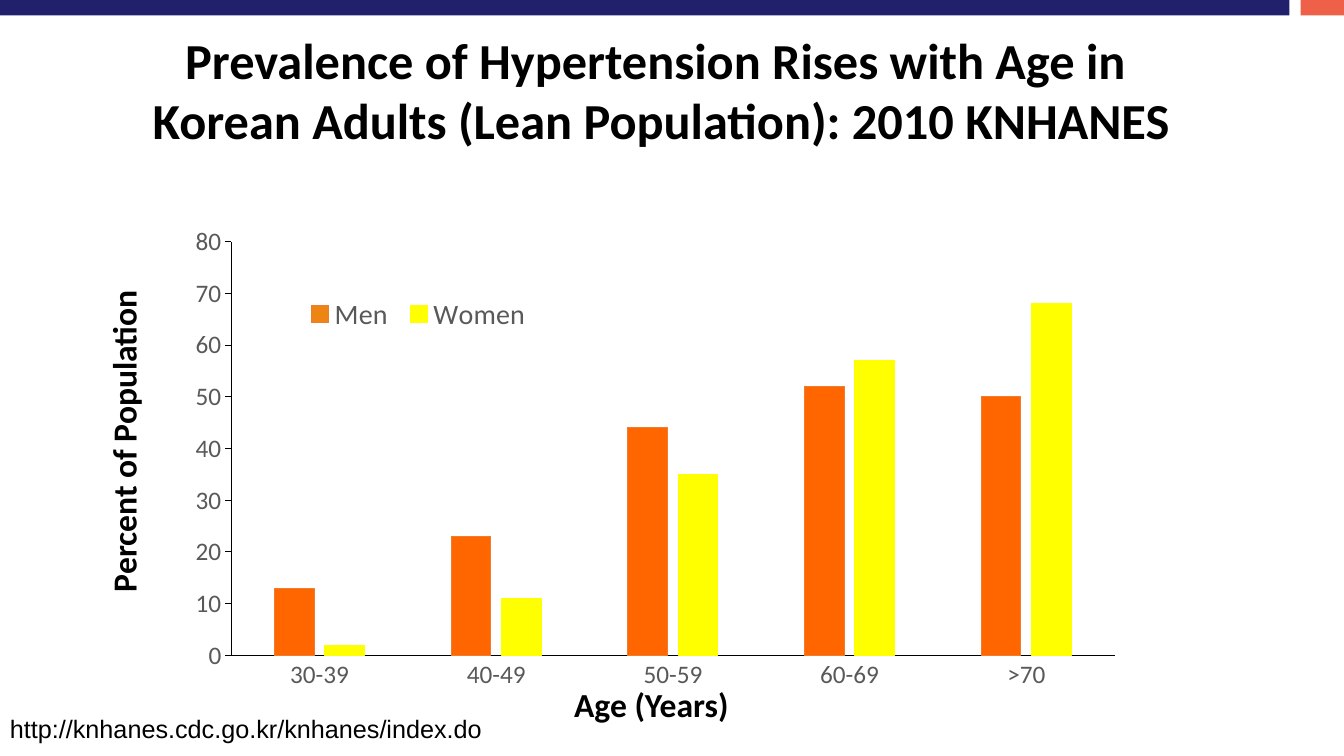
from dataclasses import dataclass

from pptx import Presentation
from pptx.chart.data import CategoryChartData
from pptx.dml.color import RGBColor
from pptx.enum import chart as ch, shapes, text
from pptx.oxml import parse_xml
from pptx.util import Pt


@dataclass(frozen=True)
class Theme:
    navy: str = "20206C"
    coral: str = "EE6048"
    black: str = "000000"
    grey: str = "595959"
    men: str = "EC8514"
    men_bar: str = "FF6600"
    men_line: str = "ED7D31"
    women: str = "FFFF00"
    body: str = "Calibri"
    source: str = "Arial"
    title_size: int = 36
    label_size: int = 24
    legend_size: int = 20
    small_size: int = 18


T = Theme()
W, H = 960, 540
AGES = ["30-39", "40-49", "50-59", "60-69", ">70"]
MEN = [13, 23, 44, 52, 50]
WOMEN = [2, 11, 35, 57, 68]


def rgb(value):
    return RGBColor.from_string(value)


def style_font(font, size, color=T.black, name=T.body, bold=False):
    font.name, font.size, font.bold = name, Pt(size), bold
    font.color.rgb = rgb(color)


def place(sp, box):
    sp.left, sp.top, sp.width, sp.height = (Pt(v) for v in box)


def add_label(s, box, words, size, vertical=False, **style):
    sp = s.shapes.add_textbox(*(Pt(v) for v in box))
    tf = sp.text_frame
    tf.word_wrap = True
    tf.text = words
    style_font(tf.paragraphs[0].runs[0].font, size, **style)
    if vertical:
        tf._txBody.bodyPr.set("vert", "vert270")


def add_top_band(s, box):
    x, y, w, h = box
    accent, gap = 31, 8
    parts = [(x + w - accent, accent, T.coral), (x, w - accent - gap, T.navy)]
    for left, width, color in parts:
        sp = s.shapes.add_shape(shapes.MSO_SHAPE.RECTANGLE,
                                Pt(left), Pt(y), Pt(width), Pt(h))
        sp.shadow.inherit = False
        sp.fill.solid()
        sp.fill.fore_color.rgb = rgb(color)
        sp.line.fill.background()


def add_title(s, box):
    sp = s.shapes.title
    place(sp, box)
    tf = sp.text_frame
    tf.text = ("Prevalence of Hypertension Rises with Age in \n"
               "Korean Adults (Lean Population): 2010 KNHANES")
    tf.auto_size = text.MSO_AUTO_SIZE.NONE
    tf.vertical_anchor = text.MSO_ANCHOR.TOP
    tf.margin_top = Pt(5.5)
    for p in tf.paragraphs:
        p.alignment = text.PP_ALIGN.CENTER
        style_font(p.runs[0].font, T.title_size, bold=True)


def set_layout(parent, x, y, w, h, inner=False):
    """Fix the place of a chart part, as fractions of the chart."""
    ns = "http://schemas.openxmlformats.org/drawingml/2006/chart"
    target = '<c:layoutTarget val="inner"/>' if inner else ""
    modes = '<c:xMode val="edge"/><c:yMode val="edge"/>'
    sizes = "".join(f'<c:{k} val="{v}"/>' for k, v in zip("xywh", (x, y, w, h)))
    layout = parse_xml(f'<c:layout xmlns:c="{ns}"><c:manualLayout>'
                       f'{target}{modes}{sizes}</c:manualLayout></c:layout>')
    for old in parent.findall(f"{{{ns}}}layout"):
        parent.remove(old)
    position = parent.find(f"{{{ns}}}legendPos")
    if position is None:
        parent.insert(0, layout)
    else:
        position.addnext(layout)


def paint_bar(fmt, fill, line):
    fmt.fill.solid()
    fmt.fill.fore_color.rgb = rgb(fill)
    fmt.line.color.rgb = rgb(line)
    fmt.line.width = Pt(0.75)


def add_prevalence_chart(s, box):
    x, y, w, h = box

    # Chart data and bars
    data = CategoryChartData()
    data.categories = AGES
    data.add_series("Men", MEN)
    data.add_series("Women", WOMEN)
    chart = s.shapes.add_chart(ch.XL_CHART_TYPE.COLUMN_CLUSTERED,
                               *(Pt(v) for v in box), data).chart
    style_font(chart.font, 10)
    chart.has_title = False
    plot = chart.plots[0]
    plot.vary_by_categories = False
    plot.gap_width, plot.overlap = 219, -27
    men, women = plot.series
    paint_bar(men.format, T.men, T.men_line)
    paint_bar(women.format, T.women, T.women)
    for i in range(len(AGES)):
        paint_bar(men.points[i].format, T.men_bar, T.men_line)

    # Axes
    ages, percent = chart.category_axis, chart.value_axis
    percent.minimum_scale, percent.maximum_scale = 0, 80
    percent.major_unit = 10
    for axis, tick in ((ages, ch.XL_TICK_MARK.NONE),
                       (percent, ch.XL_TICK_MARK.OUTSIDE)):
        axis.has_major_gridlines = False
        axis.major_tick_mark = tick
        axis.minor_tick_mark = ch.XL_TICK_MARK.NONE
        axis.format.line.color.rgb = rgb(T.black)
        axis.format.line.width = Pt(0.75)
        style_font(axis.tick_labels.font, T.small_size, T.grey)

    # Legend and plot area
    chart.has_legend = True
    legend = chart.legend
    legend.position = ch.XL_LEGEND_POSITION.TOP
    legend.include_in_layout = False
    style_font(legend.font, T.legend_size, T.grey)
    set_layout(legend._element, 0.13, 0.25, 0.25, 0.07)
    set_layout(plot._element.getparent(), 0.06, 0.15, 0.92, 0.77, inner=True)

    # Axis titles
    add_label(s, (x - 54, y + 28, 42, 287), "Percent of Population",
              T.label_size, vertical=True, bold=True)
    add_label(s, (x + 279, y + h - 14, 312, 36), "Age (Years)",
              T.label_size, bold=True)


def build_slide(prs):
    s = prs.slides.add_slide(prs.slide_layouts[5])
    add_top_band(s, (0, 0, W, 11))
    add_title(s, (18, 15, 909, 90))
    add_label(s, (0, 506, 420, 29), "http://knhanes.cdc.go.kr/knhanes/index.do",
              T.small_size, name=T.source)
    add_prevalence_chart(s, (124, 115, 686, 384))


def main():
    prs = Presentation()
    prs.slide_width, prs.slide_height = Pt(W), Pt(H)
    build_slide(prs)
    prs.save("out.pptx")


if __name__ == "__main__":
    main()
